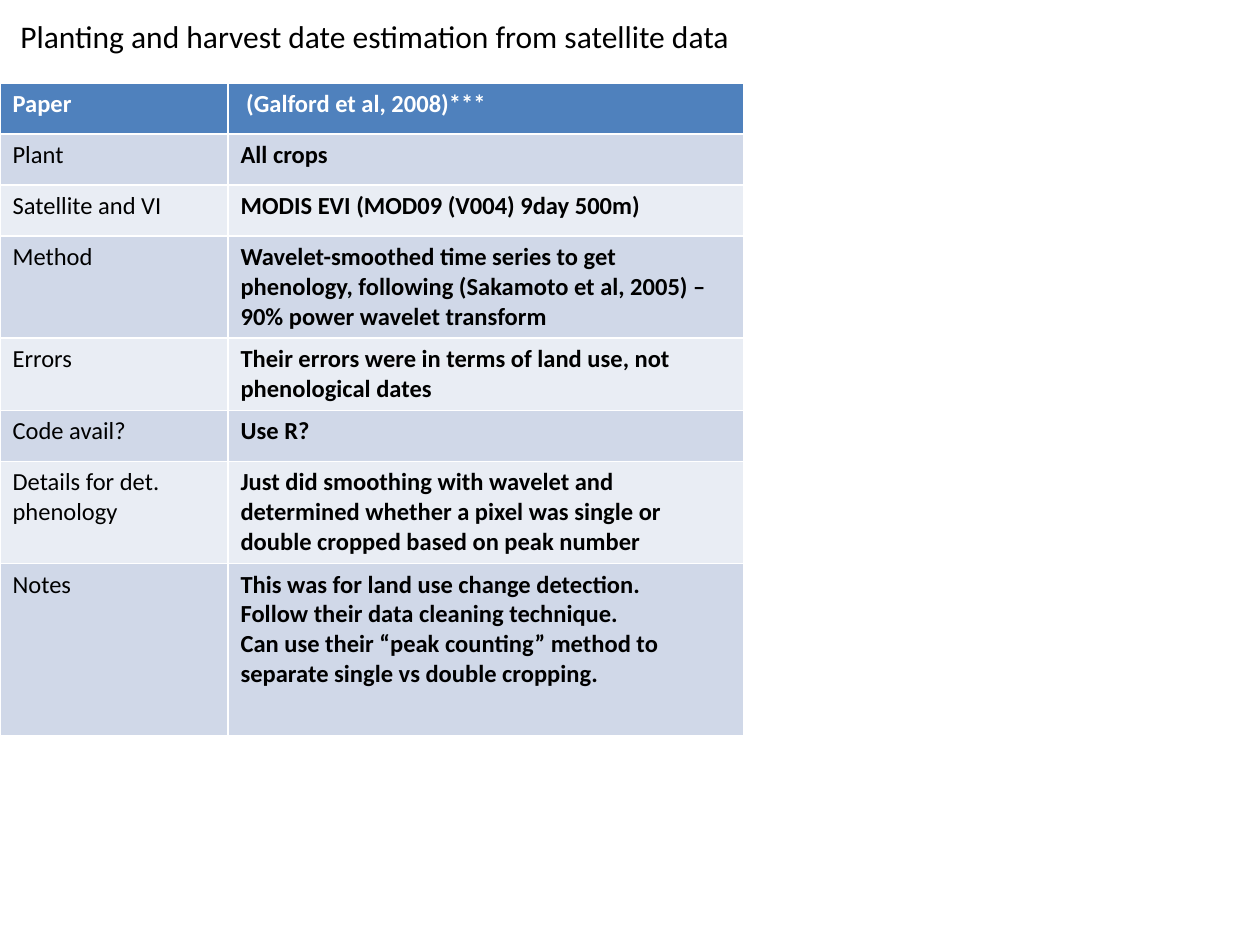
"""Build a slide summarising a paper on planting and harvest date estimation."""
import pptx
import pptx.dml.color
import pptx.enum.text
import pptx.util

EMU_PER_PX = 914400 // 126


def px(length):
    """Turn pixels into EMU."""
    return pptx.util.Emu(length * EMU_PER_PX)


def colour(code):
    """Turn a hex string into a colour."""
    return pptx.dml.color.RGBColor.from_string(code)


class SlideBuilder:
    """Hold the style and the current slide."""

    font_name = "Calibri"
    ink = "000000"
    header_ink = "FFFFFF"
    header_fill = "4F81BD"
    band_fills = ("E9EDF4", "D0D8E8")

    def __init__(self, slide):
        """Keep the slide to draw on."""
        self.slide = slide

    def add_lines(self, frame, lines, size, ink, bold=False):
        """Put one paragraph per line into a text frame."""
        for index, line in enumerate(lines):
            paragraph = frame.add_paragraph() if index else frame.paragraphs[0]
            run = paragraph.add_run()
            run.text = line
            run.font.name = self.font_name
            run.font.size = pptx.util.Pt(size)
            run.font.bold = bold
            run.font.color.rgb = colour(ink)

    def title(self, text, left, top, width, height):
        """Add an unwrapped title that fits its text."""
        frame = self.slide.shapes.add_textbox(*map(px, (left, top, width, height))).text_frame
        frame.word_wrap = False
        frame.auto_size = pptx.enum.text.MSO_AUTO_SIZE.SHAPE_TO_FIT_TEXT
        self.add_lines(frame, [text], 18, self.ink)

    def table(self, rows, left, top, widths, heights):
        """Add a banded table with a header row and bold answers."""
        table = self.slide.shapes.add_table(
            len(rows), len(widths), px(left), px(top), px(sum(widths)), px(sum(heights))
        ).table
        for column, width in zip(table.columns, widths):
            column.width = px(width)
        for row_index, (topic, *findings) in enumerate(rows):
            table.rows[row_index].height = px(heights[row_index])
            is_header = row_index == 0
            fill = self.header_fill if is_header else self.band_fills[row_index % 2]
            ink = self.header_ink if is_header else self.ink
            for column_index, lines in enumerate(([topic], findings)):
                cell = table.cell(row_index, column_index)
                cell.fill.solid()
                cell.fill.fore_color.rgb = colour(fill)
                self.add_lines(cell.text_frame, lines, 14, ink, is_header or column_index == 1)


PAPER_SUMMARY = [
    ("Paper", " (Galford et al, 2008)***"),
    ("Plant", "All crops"),
    ("Satellite and VI", "MODIS EVI (MOD09 (V004) 9day 500m)"),
    ("Method", "Wavelet-smoothed time series to get phenology, following "
     "(Sakamoto et al, 2005) – 90% power wavelet transform"),
    ("Errors", "Their errors were in terms of land use, not phenological dates"),
    ("Code avail?", "Use R?"),
    ("Details for det. phenology", "Just did smoothing with wavelet and determined "
     "whether a pixel was single or double cropped based on peak number"),
    ("Notes", "This was for land use change detection.",
     "Follow their data cleaning technique.",
     "Can use their “peak counting” method to separate single vs double cropping."),
]


def main():
    """Build and save the presentation."""
    presentation = pptx.Presentation()
    presentation.slide_width = pptx.util.Inches(10)
    presentation.slide_height = pptx.util.Inches(7.5)
    builder = SlideBuilder(presentation.slides.add_slide(presentation.slide_layouts[6]))
    builder.table(PAPER_SUMMARY, 0, 83, (228, 516), [51] * 7 + [172])
    builder.title("Planting and harvest date estimation from satellite data", 8, 11, 746, 51)
    presentation.save("out.pptx")


if __name__ == "__main__":
    main()
